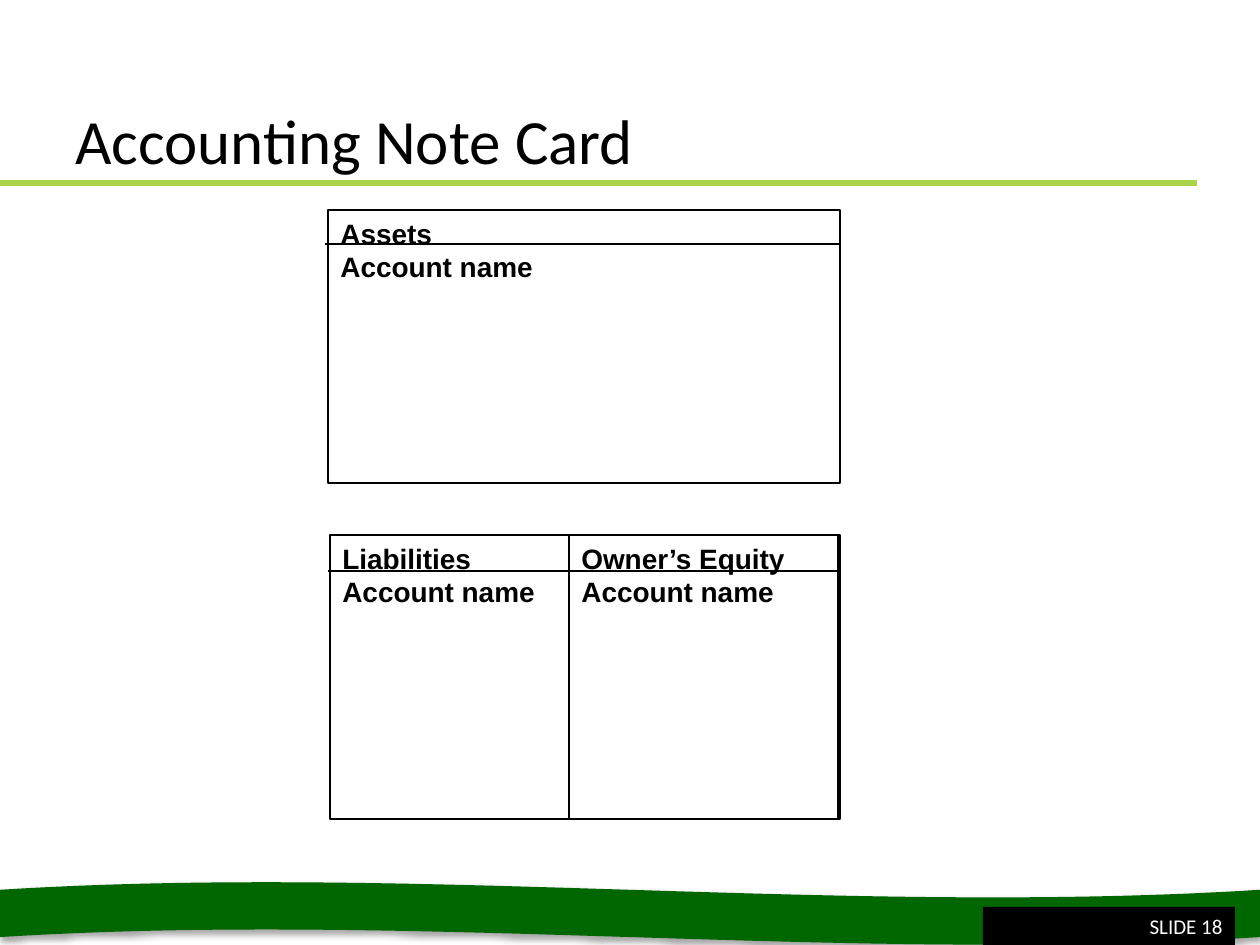
"""Build the accounting note card slide."""
from lxml import etree
from pptx import Presentation
from pptx.dml.color import RGBColor
from pptx.enum.shapes import MSO_CONNECTOR, MSO_SHAPE
from pptx.enum.text import MSO_ANCHOR, PP_ALIGN
from pptx.oxml import parse_xml
from pptx.oxml.ns import qn
from pptx.util import Pt

RECTANGLE, WAVE = MSO_SHAPE.RECTANGLE, MSO_SHAPE.WAVE
STRAIGHT = MSO_CONNECTOR.STRAIGHT
TOP, MIDDLE, BOTTOM = MSO_ANCHOR.TOP, MSO_ANCHOR.MIDDLE, MSO_ANCHOR.BOTTOM
LEFT, RIGHT = PP_ALIGN.LEFT, PP_ALIGN.RIGHT
SCALE = 914400 / 126
BLACK, WHITE, GREEN, LIME = "000000", "FFFFFF", "006600", "AAD24B"

TITLE = "Accounting Note Card"
SLIDE_LABEL = "SLIDE 18"
CARDS = [
    {"boxes": [("Assets", (328, 210, 512, 273))], "rule": (325, 840, 244)},
    {"boxes": [("Liabilities", (330, 535, 508, 284)),
               ("Owner’s Equity", (569, 535, 271, 284))], "rule": (328, 839, 571)},
]
ACCOUNT_LINE = "Account name"
WAVE_SHADOW = (
    '<a:effectLst xmlns:a="http://schemas.openxmlformats.org/drawingml/2006/main">'
    '<a:outerShdw blurRad="40000" dist="23000" dir="5400000" rotWithShape="0">'
    '<a:srgbClr val="000000"><a:alpha val="35000"/></a:srgbClr>'
    '</a:outerShdw></a:effectLst>'
)


def px(*lengths):
    return [round(length * SCALE) for length in lengths]


def color(value):
    return RGBColor.from_string(value)


def add_box(shapes, kind, frame, fill=None, line=None):
    shape = shapes.add_shape(kind, *px(*frame))
    shape.shadow.inherit = False
    if fill:
        shape.fill.solid()
        shape.fill.fore_color.rgb = color(fill)
    else:
        shape.fill.background()
    if line:
        shape.line.color.rgb = color(line)
        shape.line.width = Pt(0.75)
    else:
        shape.line.fill.background()
    return shape


def add_rule(shapes, left, right, y, line, width):
    connector = shapes.add_connector(STRAIGHT, *px(left, y, right, y))
    connector.line.color.rgb = color(line)
    connector.line.width = Pt(width)
    etree.SubElement(connector.element.spPr, qn("a:effectLst"))


def write(shape, lines, font, size, ink, anchor=TOP, align=LEFT, bold=False, wrap=True):
    frame = shape.text_frame
    frame.word_wrap = wrap
    frame.vertical_anchor = anchor
    for index, text in enumerate(lines):
        paragraph = frame.add_paragraph() if index else frame.paragraphs[0]
        paragraph.alignment = align
        run = paragraph.add_run()
        run.text = text
        run.font.name = font
        run.font.size = Pt(size)
        run.font.bold = bold
        run.font.color.rgb = color(ink)


def main():
    presentation = Presentation()
    presentation.slide_width, presentation.slide_height = px(1260, 945)
    slide = presentation.slides.add_slide(presentation.slide_layouts[6])
    shapes = slide.shapes

    wave = add_box(shapes, WAVE, (0, 882, 1260, 63), fill=GREEN)
    properties = wave.element.spPr
    properties.replace(properties.find(qn("a:effectLst")), parse_xml(WAVE_SHADOW))
    add_rule(shapes, 0, 1197, 183, LIME, 3)

    title = shapes.add_textbox(*px(63, 25, 1071, 158))
    write(title, [TITLE], "Calibri", 36, BLACK, anchor=BOTTOM)
    label = add_box(shapes, RECTANGLE, (983, 907, 252, 38), fill=BLACK)
    write(label, [SLIDE_LABEL], "Calibri", 12, WHITE, anchor=MIDDLE, align=RIGHT)

    for card in CARDS:
        group = shapes.add_group_shape()
        for heading, frame in card["boxes"]:
            box = add_box(group.shapes, RECTANGLE, frame, line=BLACK)
            write(box, [heading, ACCOUNT_LINE], "Arial", 16, BLACK, bold=True, wrap=False)
        add_rule(group.shapes, *card["rule"], BLACK, 0.75)

    presentation.save("out.pptx")


if __name__ == "__main__":
    main()
